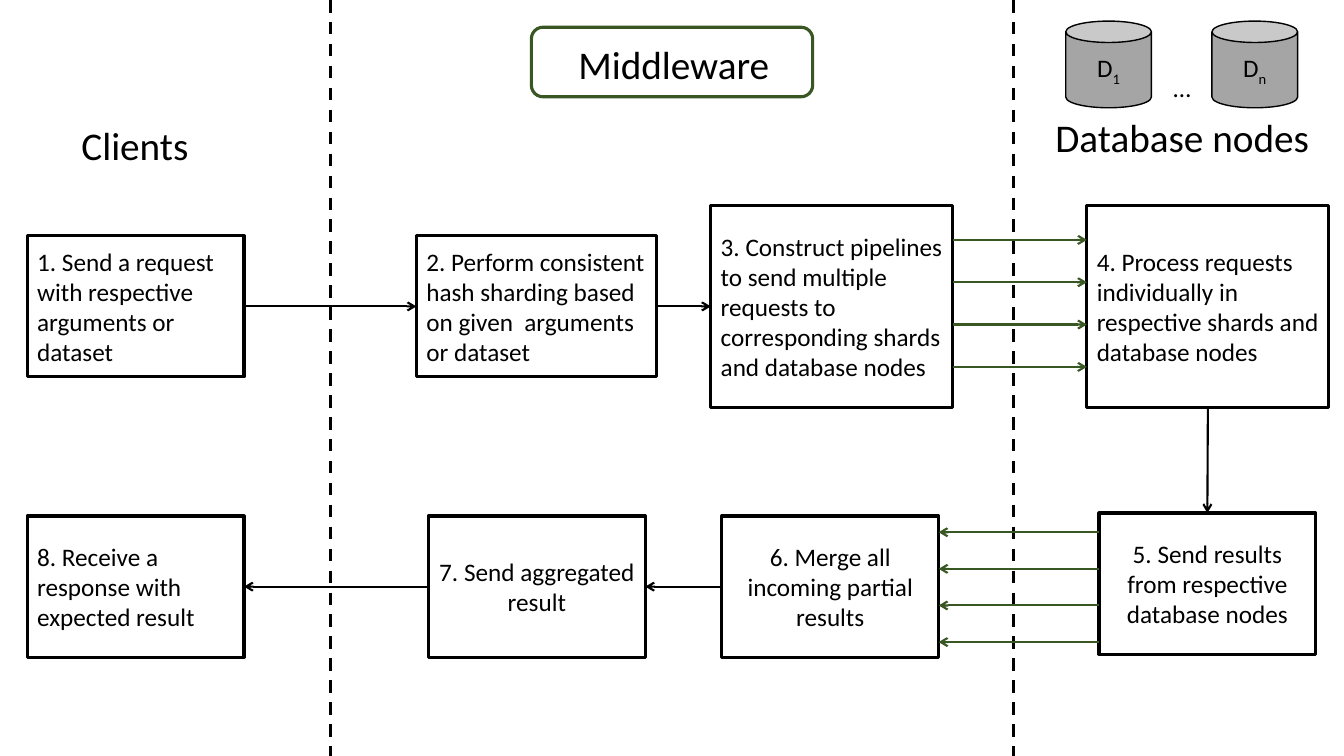
from pptx import Presentation
from pptx.dml.color import RGBColor
from pptx.enum.dml import MSO_LINE
from pptx.enum.shapes import MSO_CONNECTOR, MSO_SHAPE
from pptx.enum.text import MSO_ANCHOR, MSO_AUTO_SIZE, PP_ALIGN
from pptx.oxml.ns import qn
from pptx.util import Inches, Pt
from lxml import etree

BLACK, WHITE, GREEN, GRAY = "000000", "FFFFFF", "385723", "A5A5A5"
TOP, LEFT, BOTTOM, RIGHT = 0, 1, 2, 3  # sides, in order: top, left, bottom, right
TOP, LEFT, BOTTOM, RIGHT = range(4)
SLIDE_WIDTH, SLIDE_HEIGHT = 13.33, 7.5
DIVIDERS = (3.28, 10.05)
STEP_SIZE = (2.15, 1.4)


def color(hex_value):
    return RGBColor.from_string(hex_value)


def apply(target, formats):
    for name, value in formats.items():
        setattr(target, name, value)


def add_run(paragraph, text, size, baseline=None):
    run = paragraph.add_run()
    run.text = text
    apply(run.font, {"name": "Calibri", "size": Pt(size)})
    run.font.color.rgb = color(BLACK)
    if baseline:
        run._r.get_or_add_rPr().set("baseline", str(baseline))


def add_box(slide, kind, bounds, fill=WHITE, line=BLACK, width=2.25, align=PP_ALIGN.CENTER):
    box = slide.shapes.add_shape(kind, *map(Inches, bounds))
    box.shadow.inherit = False
    box.fill.solid()
    box.fill.fore_color.rgb = color(fill)
    box.line.color.rgb = color(line)
    box.line.width = Pt(width)
    apply(box.text_frame, {"word_wrap": True, "vertical_anchor": MSO_ANCHOR.MIDDLE})
    box.text_frame.paragraphs[0].alignment = align
    return box


def add_step(slide, text, bounds, align=PP_ALIGN.LEFT):
    step = add_box(slide, MSO_SHAPE.RECTANGLE, bounds, align=align)
    add_run(step.text_frame.paragraphs[0], text, 18)
    return step


def add_label(slide, text, bounds, size):
    label = slide.shapes.add_textbox(*map(Inches, bounds))
    apply(label.text_frame, {"word_wrap": False, "auto_size": MSO_AUTO_SIZE.SHAPE_TO_FIT_TEXT})
    add_run(label.text_frame.paragraphs[0], text, size)


def add_line(slide, points, line=BLACK, width=1.5):
    connector = slide.shapes.add_connector(MSO_CONNECTOR.STRAIGHT, *points)
    connector.line.color.rgb = color(line)
    connector.line.width = Pt(width)
    etree.SubElement(connector._element.spPr, qn("a:effectLst"))
    return connector


def add_arrow(slide, points, line=BLACK):
    arrow = add_line(slide, points, line)
    etree.SubElement(arrow.line._get_or_add_ln(), qn("a:tailEnd"), type="arrow")
    return arrow


def join_steps(slide, source, source_side, target, target_side):
    arrow = add_arrow(slide, (0, 0, 0, 0))
    arrow.begin_connect(source, source_side)
    arrow.end_connect(target, target_side)


def add_parallel_arrows(slide, start, end, first, last, count=4):
    """Evenly spaced arrows for the requests that run at the same time."""
    for index in range(count):
        y = Inches(first + index * (last - first) / (count - 1))
        add_arrow(slide, (start, y, end, y), GREEN)


def add_clients(slide, left, top):
    add_label(slide, "Clients", (left + 0.71, top + 1.15, 1.27, 0.57), 28)
    request = add_step(slide, "1. Send a request with respective arguments or dataset",
                       (left + 0.27, top + 2.34, *STEP_SIZE))
    response = add_step(slide, "8. Receive a response with expected result",
                        (left + 0.27, top + 5.12, *STEP_SIZE))
    return request, response


def add_middleware(slide, left, top):
    title = add_box(slide, MSO_SHAPE.ROUNDED_RECTANGLE,
                    (left + 1.99, top + 0.27, 2.79, 0.69), line=GREEN)
    heading = title.text_frame.paragraphs[0]
    apply(heading, {"line_spacing": 1.07, "space_after": Pt(8)})
    add_run(heading, " ", 11)
    add_run(heading, "Middleware", 28)

    sharding = add_step(
        slide, "2. Perform consistent hash sharding based on given  arguments or dataset",
        (left + 0.85, top + 2.34, 2.38, 1.4))
    pipelines = add_step(
        slide, "3. Construct pipelines to send multiple requests to corresponding shards "
        "and database nodes", (left + 3.77, top + 2.04, 2.4, 2))
    merge = add_step(slide, "6. Merge all incoming partial results",
                     (left + 3.88, top + 5.12, *STEP_SIZE), PP_ALIGN.CENTER)
    aggregate = add_step(slide, "7. Send aggregated result",
                         (left + 0.97, top + 5.12, *STEP_SIZE), PP_ALIGN.CENTER)
    return sharding, pipelines, merge, aggregate


def add_databases(slide, left, top):
    for offset, subscript in ((0.52, "1"), (1.97, "n")):
        node = add_box(slide, MSO_SHAPE.CAN, (left + offset, top + 0.21, 0.85, 0.86),
                       fill=GRAY, width=1)
        add_run(node.text_frame.paragraphs[0], "D", 18)
        add_run(node.text_frame.paragraphs[0], subscript, 18, baseline=-25000)
    add_label(slide, "…", (left + 1.49, top + 0.67, 0.5, 0.48), 18)
    add_label(slide, "Database nodes", (left + 0.32, top + 1.08, 2.74, 0.57), 28)

    process = add_step(
        slide, "4. Process requests individually in respective shards and database nodes",
        (left + 0.73, top + 2.04, 2.4, 2))
    results = add_step(slide, "5. Send results from respective database nodes",
                       (left + 0.85, top + 5.09, *STEP_SIZE), PP_ALIGN.CENTER)
    return process, results


def add_flow(slide, clients, middleware, databases):
    request, response = clients
    sharding, pipelines, merge, aggregate = middleware
    process, results = databases
    for joint in ((request, RIGHT, sharding, LEFT),
                  (sharding, RIGHT, pipelines, LEFT),
                  (process, BOTTOM, results, TOP),
                  (merge, LEFT, aggregate, RIGHT),
                  (aggregate, LEFT, response, RIGHT)):
        join_steps(slide, *joint)
    add_parallel_arrows(slide, pipelines.left + pipelines.width, process.left, 2.38, 3.64)
    add_parallel_arrows(slide, results.left, merge.left + merge.width, 5.28, 6.37)


def main():
    presentation = Presentation()
    apply(presentation, {"slide_width": Inches(SLIDE_WIDTH),
                         "slide_height": Inches(SLIDE_HEIGHT)})
    slide = presentation.slides.add_slide(presentation.slide_layouts[6])

    # Dashed borders between the three regions
    for x in DIVIDERS:
        divider = add_line(slide, (Inches(x), 0, Inches(x), Inches(SLIDE_HEIGHT)), width=2.25)
        divider.line.dash_style = MSO_LINE.DASH

    # Regions, then the flow between their steps
    clients = add_clients(slide, 0, 0)
    middleware = add_middleware(slide, DIVIDERS[0], 0)
    databases = add_databases(slide, DIVIDERS[1], 0)
    add_flow(slide, clients, middleware, databases)

    presentation.save("out.pptx")


if __name__ == "__main__":
    main()
